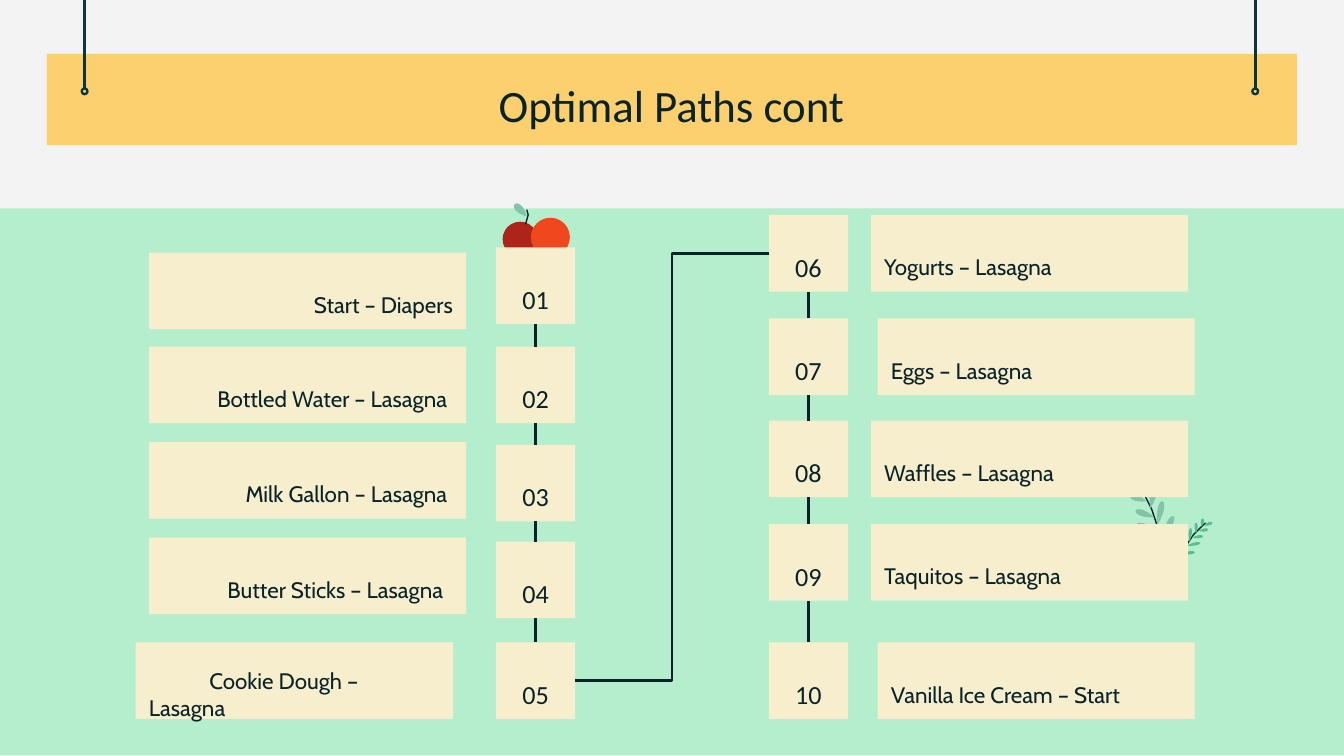
import math

import pptx
import pptx.dml.color
import pptx.enum.shapes
import pptx.enum.text
import pptx.oxml
import pptx.util
from pptx.util import Inches

SHAPE = pptx.enum.shapes.MSO_SHAPE
CONNECTOR = pptx.enum.shapes.MSO_CONNECTOR
ALIGN = pptx.enum.text.PP_ALIGN
MIDDLE = pptx.enum.text.MSO_ANCHOR.MIDDLE
INK, PIN, CREAM, SAGE, GREEN = "092329", "0C343D", "F7EECE", "83C3A9", "57BF8E"
BOTTOM, TOP, LEFT, RIGHT = 2, 0, 1, 3

# Top of the number, left and top of the label, text, alignment, indent, right inset
LEFT_STEPS = [
    (1.84, 1.11, 1.88, "Start – Diapers", ALIGN.RIGHT, 0, 0.1),
    (2.58, 1.11, 2.58, "Bottled Water – Lasagna", ALIGN.RIGHT, 0, 0.14),
    (3.31, 1.11, 3.29, "Milk Gallon – Lasagna", ALIGN.RIGHT, 0, 0.14),
    (4.03, 1.11, 4.0, "Butter Sticks – Lasagna", ALIGN.RIGHT, 0, 0.17),
    (4.78, 1.01, 4.78, "Cookie Dough – Lasagna", ALIGN.LEFT, 0.45, 0.2),
]
RIGHT_STEPS = [
    (top, left, top, text, ALIGN.LEFT, 0, 0.1)
    for top, left, text in [
        (1.6, 6.48, "Yogurts – Lasagna"),
        (2.37, 6.53, "Eggs – Lasagna"),
        (3.13, 6.48, "Waffles – Lasagna"),
        (3.9, 6.48, "Taquitos – Lasagna"),
        (4.78, 6.53, "Vanilla Ice Cream – Start"),
    ]
]

# Stem points, leaf colour, leaf width, leaves as (base, tip)
SPRIGS = [
    ([(8.48, 3.61), (8.57, 3.79), (8.65, 4.03), (8.7, 4.22), (8.74, 4.37)], SAGE, 0.06, [
        ((8.65, 4.01), (8.73, 3.84)), ((8.61, 3.91), (8.65, 3.73)),
        ((8.56, 3.78), (8.59, 3.63)), ((8.53, 3.73), (8.41, 3.69)),
        ((8.59, 3.85), (8.45, 3.8)), ((8.63, 3.96), (8.46, 3.9))]),
    ([(8.97, 3.89), (8.88, 3.98), (8.8, 4.1), (8.71, 4.26)], GREEN, 0.03, [
        ((8.82, 4.08), (8.8, 3.98)), ((8.85, 4.03), (8.86, 3.93)),
        ((8.9, 3.97), (8.9, 3.89)), ((8.94, 3.92), (8.95, 3.86)),
        ((8.96, 3.91), (9.02, 3.89)), ((8.92, 3.95), (8.99, 3.94)),
        ((8.87, 4.0), (8.95, 3.99)), ((8.83, 4.06), (8.93, 4.04)),
        ((8.79, 4.12), (8.89, 4.11))]),
    ([(3.92, 1.56), (3.93, 1.6), (3.91, 1.67)], SAGE, 0.07, [
        ((3.92, 1.61), (3.83, 1.52))]),
]


def color(value):
    return pptx.dml.color.RGBColor.from_string(value)


class SlideBuilder:
    def __init__(self, slide):
        self.slide = slide
        self.shapes = slide.shapes

    def background(self, fill):
        self.slide.background.fill.solid()
        self.slide.background.fill.fore_color.rgb = color(fill)

    def paint(self, shape, fill):
        shape.shadow.inherit = False
        shape.fill.solid()
        shape.fill.fore_color.rgb = color(fill)
        shape.line.fill.background()

    def shape(self, kind, left, top, width, height, fill):
        shape = self.shapes.add_shape(
            kind, Inches(left), Inches(top), Inches(width), Inches(height))
        self.paint(shape, fill)
        return shape

    def text_run(self, paragraph, text, font, size):
        run = paragraph.add_run()
        run.text = text
        run.font.name = font
        run.font.size = pptx.util.Pt(size)
        run.font.bold = False
        run.font.color.rgb = color(INK)

    def title(self, text, left, top, width, height):
        title = self.shapes.title
        title.left, title.top = Inches(left), Inches(top)
        title.width, title.height = Inches(width), Inches(height)
        title.text_frame.vertical_anchor = MIDDLE
        paragraph = title.text_frame.paragraphs[0]
        paragraph.alignment = ALIGN.CENTER
        self.text_run(paragraph, text, "Calibri", 24)
        # Bring the title in front of the shapes drawn so far
        title._element.getparent().append(title._element)

    def card(self, left, top, width, text, font, size, align, indent=0, inset=0.1):
        card = self.shape(SHAPE.RECTANGLE, left, top, width, 0.57, CREAM)
        frame = card.text_frame
        frame.word_wrap = True
        frame.vertical_anchor = MIDDLE
        frame.margin_left, frame.margin_right = Inches(0.1), Inches(inset)
        frame.margin_top, frame.margin_bottom = Inches(0.2), 0
        paragraph = frame.paragraphs[0]
        paragraph.alignment = align
        paragraph.space_after = pptx.util.Pt(16)
        if indent:
            paragraph._p.get_or_add_pPr().set("indent", str(Inches(indent)))
        self.text_run(paragraph, text, font, size)
        return card

    def connector(self, start, end, stroke=INK, kind=CONNECTOR.STRAIGHT):
        points = [Inches(value) for value in (*start, *end)]
        connector = self.shapes.add_connector(kind, *points)
        connector.line.color.rgb = color(stroke)
        connector.line.width = pptx.util.Pt(1.5)
        properties = connector._element.spPr
        properties.append(pptx.oxml.parse_xml(
            '<a:effectLst xmlns:a="http://schemas.openxmlformats.org/drawingml/2006/main"/>'))
        return connector

    def join(self, first, first_side, second, second_side, kind=CONNECTOR.STRAIGHT):
        connector = self.connector((0, 0), (1, 1), kind=kind)
        connector.begin_connect(first, first_side)
        connector.end_connect(second, second_side)

    def outline(self, points, close):
        points = [(Inches(x), Inches(y)) for x, y in points]
        builder = self.shapes.build_freeform(*points[0])
        builder.add_line_segments(points[1:], close=close)
        return builder.convert_to_shape()

    def stem(self, points):
        stem = self.outline(points, False)
        stem.shadow.inherit = False
        stem.fill.background()
        stem.line.color.rgb = color(INK)
        stem.line.width = pptx.util.Pt(0.75)

    def leaf(self, base, tip, width, fill):
        """Draw a leaf that is pointed at its base and round towards its tip."""
        dx, dy = tip[0] - base[0], tip[1] - base[1]
        length = math.hypot(dx, dy)
        points = []
        for step in range(24):
            angle = step * math.tau / 24
            along = (1 - math.cos(angle)) / 2
            across = math.sin(angle) * math.sqrt(along) * width / 2 / length
            points.append((base[0] + along * dx - across * dy,
                           base[1] + along * dy + across * dx))
        self.paint(self.outline(points, True), fill)

    def pin(self, center):
        self.connector((center, 0), (center, 0.66), PIN)
        ring = self.shape(SHAPE.DONUT, center - 0.03, 0.65, 0.06, 0.06, PIN)
        ring.adjustments[0] = 0.3

    def column(self, steps, first_number, number_left):
        """Draw numbered steps with their labels and return the number cards."""
        numbers = []
        for number, step in enumerate(steps, first_number):
            top, label_left, label_top, text, align, indent, inset = step
            numbers.append(self.card(
                number_left, top, 0.59, f"{number:02}", "Calibri", 14, ALIGN.CENTER))
            self.card(label_left, label_top, 2.36, text, "Cabin", 12, align, indent, inset)
        for upper, lower in zip(numbers, numbers[1:]):
            self.join(upper, BOTTOM, lower, TOP)
        return numbers


def main():
    presentation = pptx.Presentation()
    presentation.slide_width = Inches(10)
    presentation.slide_height = Inches(10) * 9 // 16
    builder = SlideBuilder(presentation.slides.add_slide(presentation.slide_layouts[5]))

    builder.background("F3F3F3")
    builder.shape(SHAPE.RECTANGLE, -0.03, 1.55, 10.05, 4.07, "B5EECC")
    builder.shape(SHAPE.RECTANGLE, 0.35, 0.4, 9.3, 0.68, "FCD06F")
    for center in (0.63, 9.34):
        builder.pin(center)
    builder.title("Optimal Paths cont", 1.5, 0.46, 6.99, 0.63)

    builder.shape(SHAPE.OVAL, 3.74, 1.65, 0.26, 0.26, "AD241B")
    builder.shape(SHAPE.OVAL, 3.95, 1.62, 0.29, 0.29, "F1471D")
    for stem, fill, width, leaves in SPRIGS:
        builder.stem(stem)
        for base, tip in leaves:
            builder.leaf(base, tip, width, fill)

    left_numbers = builder.column(LEFT_STEPS, 1, 3.69)
    right_numbers = builder.column(RIGHT_STEPS, 6, 5.72)
    builder.join(left_numbers[-1], RIGHT, right_numbers[0], LEFT, CONNECTOR.ELBOW)

    presentation.save("out.pptx")


if __name__ == "__main__":
    main()
